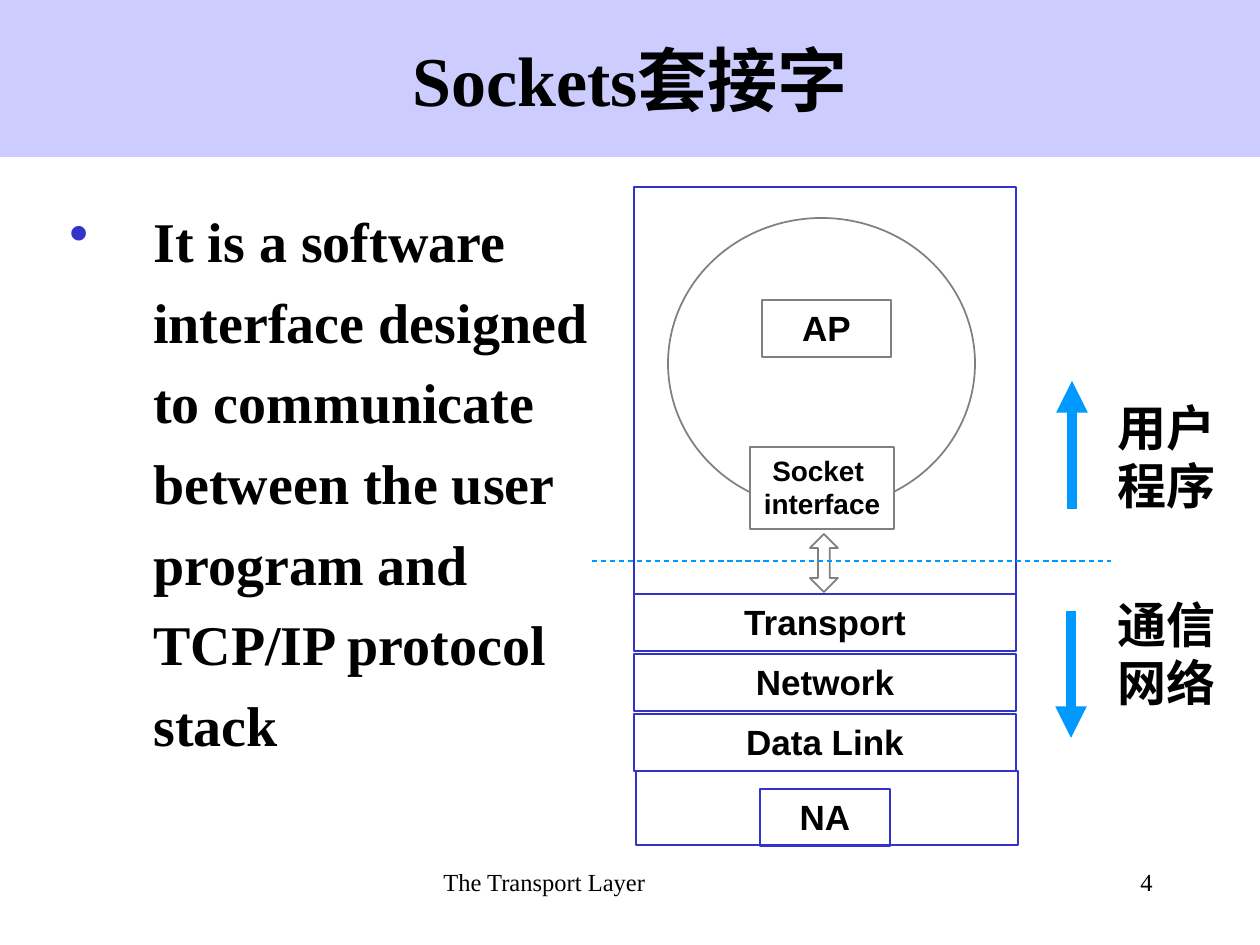
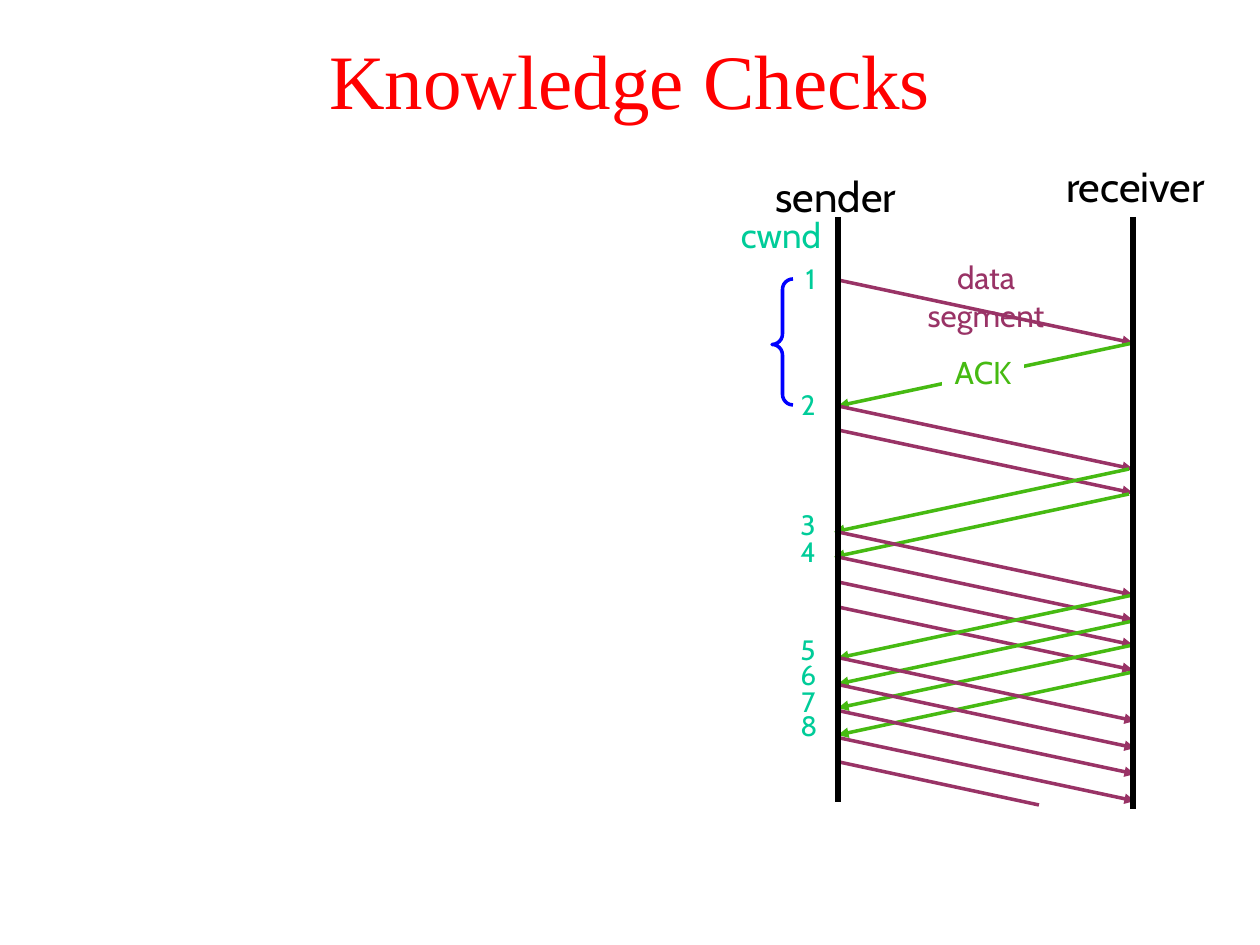
from lxml import etree
from pptx import Presentation
from pptx import util as u
from pptx.dml.color import RGBColor
from pptx.enum import dml, shapes, text
from pptx.oxml.ns import qn

PX = u.Inches(1) / 126
SLIDE_W, SLIDE_H = 1260, 945
TITLE_BOX = (0, 0, SLIDE_W, 157)

BLACK = RGBColor(0x00, 0x00, 0x00)
WHITE = RGBColor(0xFF, 0xFF, 0xFF)
RED = RGBColor(0xFF, 0x00, 0x00)
BLUE = RGBColor(0x00, 0x00, 0xFF)
LAVENDER = RGBColor(0xCC, 0xCC, 0xFF)
INDIGO = RGBColor(0x33, 0x33, 0xCC)
GRAY = RGBColor(0x80, 0x80, 0x80)
SKY = RGBColor(0x00, 0x99, 0xFF)
PLUM = RGBColor(0x99, 0x33, 0x66)
GREEN = RGBColor(0x46, 0xBA, 0x12)
TEAL = RGBColor(0x00, 0xCC, 0x99)

SERIF, SANS, CABIN = "Times New Roman", "Arial", "Cabin"
LEFT, CENTER, RIGHT = text.PP_ALIGN.LEFT, text.PP_ALIGN.CENTER, text.PP_ALIGN.RIGHT
FORM = shapes.MSO_SHAPE

# Text formats
FOOTER = dict(name=SERIF, size=14, color=BLACK)
BODY = dict(name=SERIF, size=32, bold=True, color=BLACK)
LAYER = dict(name=SANS, size=20, bold=True, color=BLACK)
SOCKET = dict(LAYER, size=16)
ZONE = dict(LAYER, size=28)
HOST = dict(name=CABIN, size=24, color=BLACK)
WINDOW = dict(name=CABIN, size=20, color=TEAL)
COUNT = dict(WINDOW, size=16)
SEGMENT = dict(name=CABIN, size=18, color=PLUM)
ACK = dict(SEGMENT, color=GREEN)


def emu(*lengths):
    return [u.Emu(round(length * PX)) for length in lengths]


def set_font(font, style):
    for key, value in style.items():
        if key == "color":
            font.color.rgb = value
        else:
            setattr(font, key, u.Pt(value) if key == "size" else value)


def write(shape, words, style, align=LEFT, wrap=True, grow=True,
          anchor=text.MSO_ANCHOR.TOP):
    frame = shape.text_frame
    frame.text = words
    frame.word_wrap = wrap
    frame.auto_size = (text.MSO_AUTO_SIZE.SHAPE_TO_FIT_TEXT if grow
                       else text.MSO_AUTO_SIZE.NONE)
    frame.vertical_anchor = anchor
    for paragraph in frame.paragraphs:
        paragraph.alignment = align
        for run in paragraph.runs:
            set_font(run.font, style)
    return frame


def add_label(slide, box, words, style, **layout):
    return write(slide.shapes.add_textbox(*emu(*box)), words, style, **layout)


def add_form(slide, form, box, fill=None, line=None, weight=1):
    shape = slide.shapes.add_shape(form, *emu(*box))
    shape.shadow.inherit = False
    if fill is None:
        shape.fill.background()
    else:
        shape.fill.solid()
        shape.fill.fore_color.rgb = fill
    if line is None:
        shape.line.fill.background()
    else:
        shape.line.color.rgb = line
        shape.line.width = u.Pt(weight)
    return shape


def add_line(slide, start, end, color, weight, arrow=False, dash=None):
    connector = slide.shapes.add_connector(
        shapes.MSO_CONNECTOR.STRAIGHT, *emu(*start, *end))
    connector.line.color.rgb = color
    connector.line.width = u.Pt(weight)
    if dash:
        connector.line.dash_style = dash
    properties = connector.element.spPr
    if arrow:
        etree.SubElement(properties.find(qn("a:ln")), qn("a:tailEnd"), type="triangle")
    etree.SubElement(properties, qn("a:effectLst"))


def add_titled_slide(deck, words, style, band=None):
    slide = deck.slides.add_slide(deck.slide_layouts[5])
    title = slide.shapes.title
    title.left, title.top, title.width, title.height = emu(*TITLE_BOX)
    if band is not None:
        title.fill.solid()
        title.fill.fore_color.rgb = band
    write(title, words, style, CENTER, grow=False, anchor=text.MSO_ANCHOR.MIDDLE)
    return slide


def add_footer(slide, x, y, words, number):
    add_label(slide, (x, y, 399, 63), words, FOOTER, grow=False)
    add_label(slide, (x + 472, y, 262, 63), number, FOOTER, align=RIGHT, grow=False)


def add_definition(slide, box, words):
    frame = add_label(slide, box, words, BODY, grow=False)
    paragraph = frame.paragraphs[0]
    properties = paragraph._p.get_or_add_pPr()
    indent = emu(84)[0]
    properties.set("marL", str(indent))
    properties.set("indent", str(-indent))
    bullet_color = etree.SubElement(properties, qn("a:buClr"))
    etree.SubElement(bullet_color, qn("a:srgbClr"), val=str(INDIGO))
    etree.SubElement(properties, qn("a:buChar"), char="•")
    paragraph.line_spacing = 1.2


def add_protocol_stack(slide, x, y, width):
    def block(form, dx, dy, w, h, fill=None, line=INDIGO, words="", style=LAYER, wrap=True):
        shape = add_form(slide, form, (x + dx, y + dy, w, h), fill, line)
        if words:
            write(shape, words, style, CENTER, wrap)
        return shape

    # Application area
    block(FORM.RECTANGLE, 0, 0, width, 407, WHITE)
    block(FORM.OVAL, 34, 31, 307, 291, WHITE, GRAY)

    # Protocol layers
    for row, layer in enumerate(("Transport", "Network", "Data Link")):
        block(FORM.RECTANGLE, 0, 407 + row * 60, width, 57, words=layer)
    block(FORM.RECTANGLE, 2, 584, width, 74, WHITE)
    block(FORM.RECTANGLE, 126, 602, 130, 57, words="NA")

    # Socket between program and transport
    block(FORM.RECTANGLE, 116, 260, 144, 82, WHITE, GRAY, "Socket \ninterface", SOCKET, False)
    exchange = block(FORM.UP_DOWN_ARROW, 176, 347, 28, 58, WHITE, GRAY)
    exchange.adjustments[1] = 0.42
    block(FORM.RECTANGLE, 128, 113, 129, 57, line=GRAY, words="AP")
    add_line(slide, (x - 42, y + 374), (x + width + 95, y + 374), SKY, 0.75,
             dash=dml.MSO_LINE.DASH)


def add_zones(slide, x, y):
    for words, label_y, dx, start, end in (("用户程序", 10, 1, 128, 0),
                                           ("通信网络", 207, 0, 230, 357)):
        add_label(slide, (x + 34, y + label_y, 155, 130), words, ZONE)
        add_line(slide, (x + dx, y + start), (x + dx, y + end), SKY, 6, arrow=True)


def add_exchange(slide, x, y, width):
    """Message ladder whose sender line starts at x, y."""
    delay = 63
    receiver_x = x + width
    add_form(slide, FORM.RECTANGLE, (x + 54, y + 35, 188, 88), WHITE)
    write(slide.shapes[-1], "data segment", SEGMENT, CENTER)

    # Rounds: send times, send shift, acknowledgement times, acknowledgement shift
    rounds = (
        ((63,), 0, (126,), 0),
        ((189, 213), 0, (252, 277), -4),
        ((315, 340, 365, 390), 0, (378, 404, 428, 455), 0),
        ((441, 468, 494, 521), 2, (), 0),
    )
    for sends, send_dx, acks, ack_dx in rounds:
        for time in sends:
            add_line(slide, (x + send_dx, y + time),
                     (receiver_x + send_dx, y + time + delay), PLUM, 2, arrow=True)
        for time in acks:
            add_line(slide, (receiver_x + ack_dx, y + time),
                     (x + ack_dx, y + time + delay), GREEN, 2, arrow=True)
    add_line(slide, (x + 1, y + 545), (x + 201, y + 588), PLUM, 2)
    add_form(slide, FORM.RECTANGLE, (x + 104, y + 130, 82, 50), WHITE)
    write(slide.shapes[-1], "ACK", ACK, CENTER, wrap=False)

    # Hosts
    for host_x, length in ((x, 585), (receiver_x, 592)):
        add_line(slide, (host_x, y), (host_x, y + length), BLACK, 3)
    for words, dx, dy, w, h, style in (("sender", -77, -53, 150, 63, HOST),
                                       ("receiver", 212, -63, 171, 63, HOST),
                                       ("cwnd", -110, -10, 106, 54, WINDOW)):
        add_label(slide, (x + dx, y + dy, w, h), words, style, align=CENTER, wrap=False)

    # Window sizes and first round trip
    for size, dy in enumerate((38, 164, 284, 311, 409, 434, 461, 485), 1):
        add_label(slide, (x - 50, y + dy, 40, 47), str(size), COUNT, align=RIGHT, wrap=False)
    round_trip = add_form(slide, FORM.LEFT_BRACE, (x - 66, y + 62, 21, 126), line=BLUE, weight=2)
    round_trip.adjustments[0] = 0.5
    round_trip.adjustments[1] = 0.52


def build_sockets(deck):
    slide = add_titled_slide(deck, "Sockets套接字", dict(BODY, size=40), LAVENDER)
    add_footer(slide, 431, 861, "The Transport Layer", "4")
    add_definition(slide, (57, 187, 568, 693),
                   "It is a software interface designed to communicate "
                   "between the user program and TCP/IP protocol stack")
    add_protocol_stack(slide, 634, 187, 382)
    add_zones(slide, 1071, 381)


def build_knowledge_checks(deck):
    slide = add_titled_slide(deck, "Knowledge Checks", dict(name=SERIF, size=44, color=RED))
    add_exchange(slide, 838, 217, 295)


def main():
    deck = Presentation()
    deck.slide_width, deck.slide_height = emu(SLIDE_W, SLIDE_H)
    build_sockets(deck)
    build_knowledge_checks(deck)
    deck.save("out.pptx")


if __name__ == "__main__":
    main()
